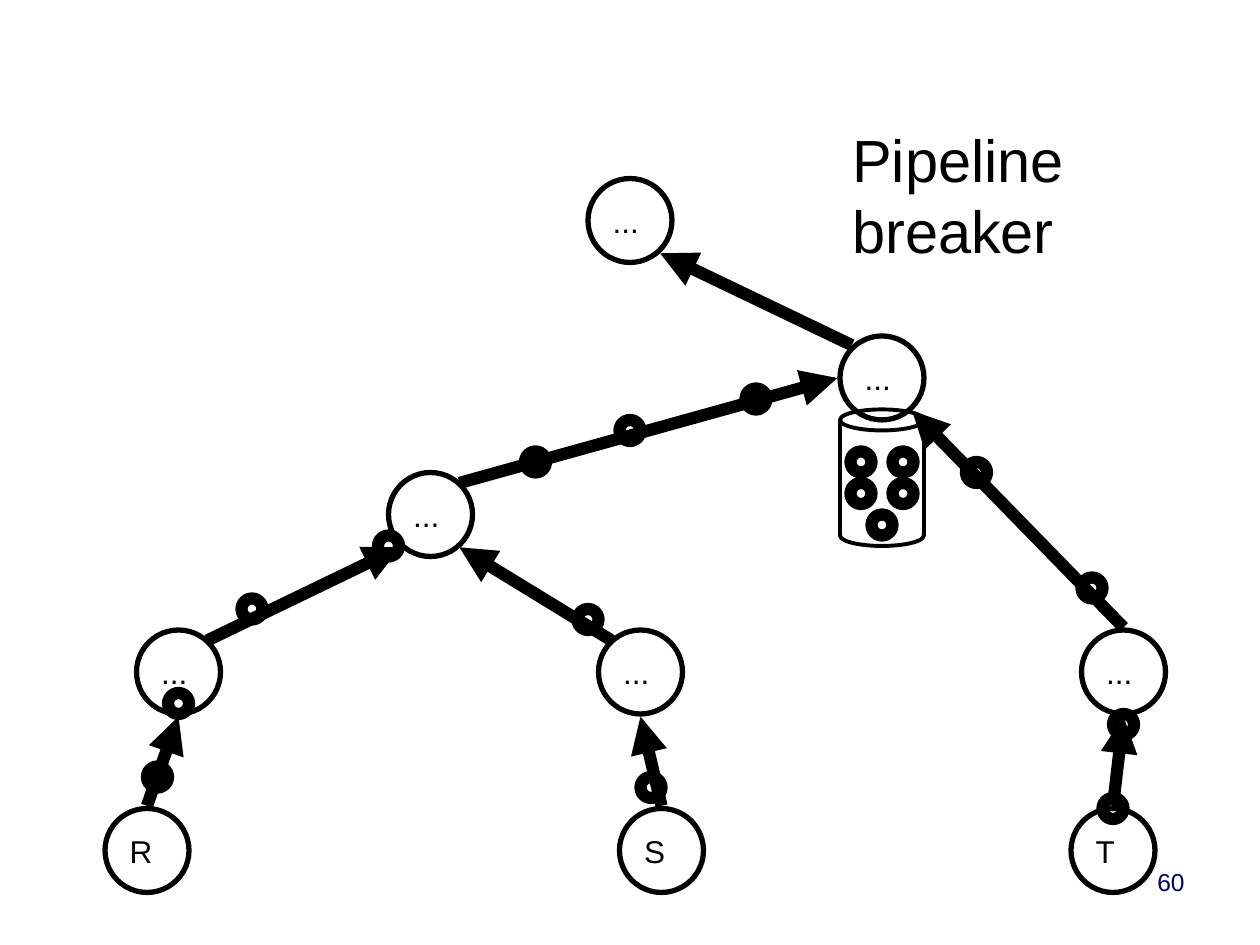
"""Draw a query plan tree whose pipeline is interrupted by a breaker."""
from lxml import etree
from pptx import Presentation
from pptx import util as u
from pptx.dml.color import RGBColor
from pptx.enum import shapes, text
from pptx.oxml.ns import qn

NODE, DOT = 64, 16
NODES = [(80, 616, "R"), (472, 616, "S"), (104, 480, "..."),
         (296, 360, "..."), (456, 480, "..."), (816, 616, "T"),
         (824, 480, "..."), (640, 256, "..."), (448, 136, "...")]
ARROWS = [(112, 614, 136, 546), (504, 614, 488, 546), (848, 614, 856, 546),
          (158, 488, 305, 417), (466, 488, 350, 417), (856, 478, 695, 313),
          (350, 368, 638, 288), (649, 263, 503, 193)]
DOTS = [(112, 584), (128, 528), (488, 592), (840, 608), (848, 544),
        (824, 440), (736, 352), (440, 464), (184, 456), (288, 408),
        (400, 344), (472, 320), (568, 296)]
STORED = [(664, 392)] + [(x, y) for x in (680, 648) for y in (368, 344)]


def px(*vals):
    return [u.Emu(v * 9525) for v in vals]


def rgb(code):
    return RGBColor.from_string(code)


class Plan:
    """Hold the style and the current slide, and draw each kind of element."""
    ink, face = "000000", "Arial"

    def __init__(self, slide):
        self.items = slide.shapes

    def shape(self, kind, x, y, w, h, line):
        item = self.items.add_shape(kind, *px(x, y, w, h))
        item.shadow.inherit = False
        item.fill.background()
        item.line.color.rgb = rgb(self.ink)
        item.line.width = u.Pt(line)
        return item

    def put(self, frame, words, size, color=ink, align=text.PP_ALIGN.LEFT):
        para = frame.paragraphs[0]
        para.text = words
        para.alignment = align
        para.font.size = u.Pt(size)
        para.font.name = self.face
        para.font.color.rgb = rgb(color)

    def node(self, x, y, words):
        item = self.shape(shapes.MSO_SHAPE.OVAL, x, y, NODE, NODE, 3)
        frame = item.text_frame
        frame.word_wrap = False
        frame.vertical_anchor = text.MSO_ANCHOR.MIDDLE
        self.put(frame, words, 18)

    def dot(self, x, y):
        self.shape(shapes.MSO_SHAPE.OVAL, x, y, DOT, DOT, 7)

    def can(self, x, y, w, h):
        item = self.shape(shapes.MSO_SHAPE.CAN, x, y, w, h, 2.25)
        item.adjustments[0] = 0.25

    def arrow(self, *ends):
        item = self.items.add_connector(shapes.MSO_CONNECTOR.STRAIGHT, *px(*ends))
        item.line.color.rgb = rgb(self.ink)
        item.line.width = u.Pt(7)
        props = item.element.spPr
        etree.SubElement(props.find(qn("a:ln")), qn("a:tailEnd"), type="triangle")
        etree.SubElement(props, qn("a:effectLst"))

    def label(self, x, y, w, h, words, size, **style):
        frame = self.items.add_textbox(*px(x, y, w, h)).text_frame
        frame.word_wrap = True
        self.put(frame, words, size, **style)


def main():
    deck = Presentation()
    deck.slide_width, deck.slide_height = px(960, 720)
    plan = Plan(deck.slides.add_slide(deck.slide_layouts[6]))
    for node in NODES:
        plan.node(*node)
    for ends in ARROWS:
        plan.arrow(*ends)
    for spot in DOTS + STORED:
        plan.dot(*spot)
    plan.can(640, 312, 64, 104)
    plan.label(640, 89, 287, 119, "Pipeline breaker", 34)
    plan.label(688, 656, 224, 50, "60", 14, color="000066",
               align=text.PP_ALIGN.RIGHT)
    deck.save("out.pptx")


if __name__ == "__main__":
    main()
